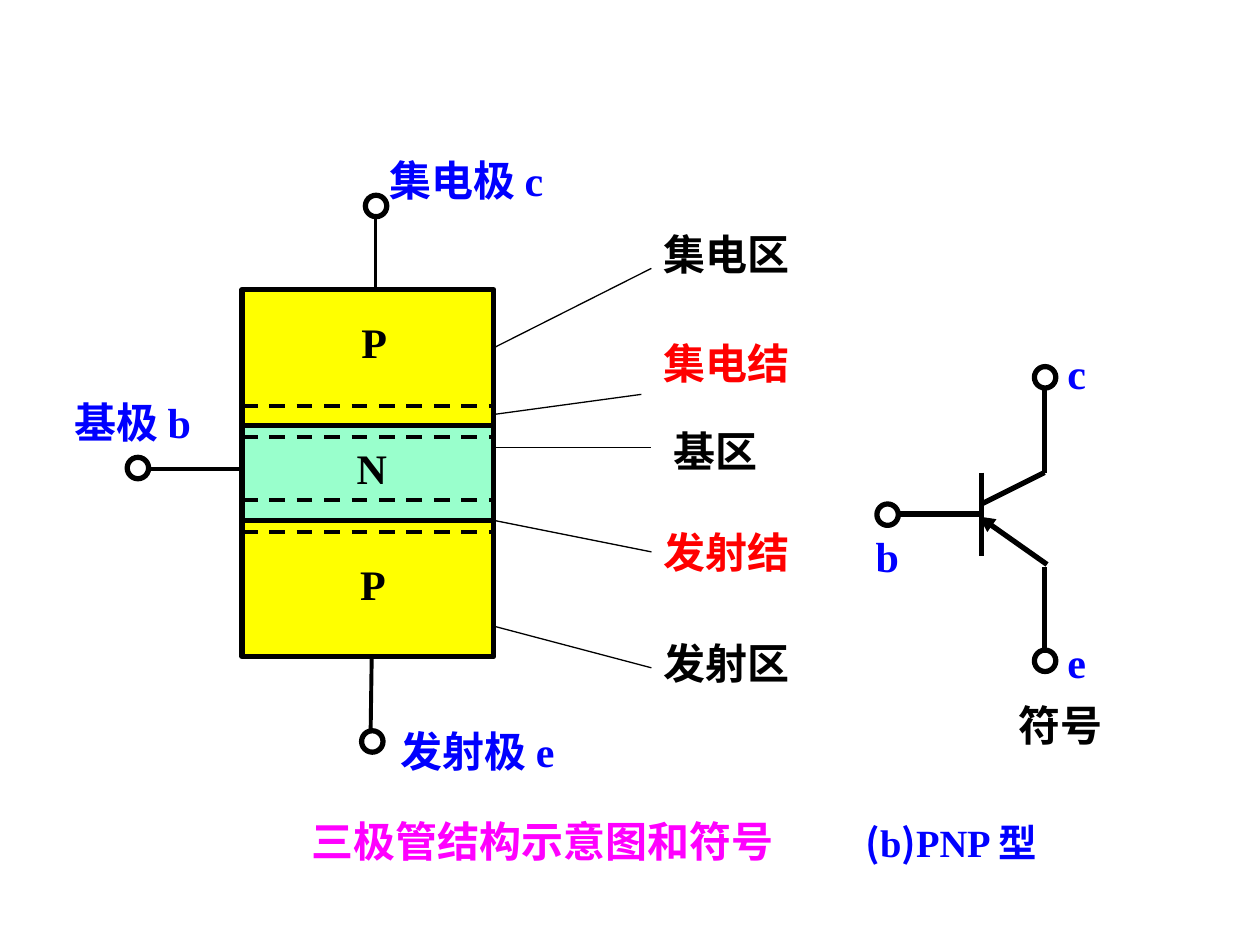
import pptx
import pptx.util
import pptx.dml.color
import pptx.enum.dml
import pptx.enum.shapes
import pptx.enum.text
from lxml import etree
from pptx.oxml.ns import qn
from pptx.util import Inches, Pt

RGB = pptx.dml.color.RGBColor
BLACK = RGB(0, 0, 0)
WHITE = RGB(255, 255, 255)
RED = RGB(255, 0, 0)
BLUE = RGB(0, 0, 255)
PINK = RGB(255, 0, 255)
YELLOW = RGB(255, 255, 0)
MINT = RGB(0x99, 0xFF, 0xCC)

LATIN, HAN = "Times New Roman", "Noto Sans CJK SC"
ALIGN = pptx.enum.text.PP_ALIGN
ANCHOR = pptx.enum.text.MSO_ANCHOR
FORM = pptx.enum.shapes.MSO_SHAPE
DASH = pptx.enum.dml.MSO_LINE.DASH

# Content: region labels (text, left, top, width, colour)
LABELS = [
    ("集电区", 5.17, 1.76, 2.41, BLACK),
    ("集电结", 5.17, 2.63, 2.25, RED),
    ("基区", 5.25, 3.33, 1.66, BLACK),
    ("发射结", 5.17, 4.13, 1.75, RED),
    ("发射区", 5.17, 5.01, 2.16, BLACK),
    ("集电极 c", 2.99, 1.18, 2.09, BLUE),
    ("发射极 e", 3.08, 5.71, 1.75, BLUE),
    ("基极 b", 0.49, 3.10, 1.68, BLUE),
]
# Centred marks, same fields
MARKS = [
    ("c", 8.21, 2.71, 0.67, BLUE),
    ("b", 6.85, 4.16, 0.38, BLUE),
    ("e", 8.37, 5.00, 0.35, BLUE),
    ("符号", 7.63, 5.50, 1.58, BLACK),
    ("P", 2.77, 2.46, 0.40, BLACK),
    ("N", 2.73, 3.46, 0.44, BLACK),
    ("P", 2.76, 4.38, 0.33, BLACK),
]
# Lines (x1, y1, x2, y2), by role
LEADERS = [
    (3.84, 2.80, 5.17, 2.13),
    (3.84, 3.30, 5.09, 3.13),
    (3.84, 3.55, 5.17, 3.55),
    (3.92, 4.13, 5.17, 4.38),
    (3.92, 4.97, 5.17, 5.30),
]
SYMBOL = [
    (7.79, 3.75, 7.79, 4.41),
    (7.79, 4.00, 8.29, 3.75),
    (8.29, 3.75, 8.29, 3.00),
    (8.29, 4.50, 8.29, 5.17),
    (7.79, 4.08, 7.12, 4.08),
]
EMITTER = (8.31, 4.48, 7.77, 4.10)
WIRES = [
    (2.95, 5.22, 2.94, 5.92),
    (1.92, 3.72, 1.17, 3.72),
    (2.98, 2.30, 2.98, 1.63),
]
# Terminal rings (left, top)
RINGS = [(6.96, 4.00), (8.21, 2.91), (8.21, 5.16),
         (2.90, 1.55), (1.01, 3.63), (2.87, 5.80)]
RING = 0.17
# Layers (top, height, fill), the base last so its edges lie on top
LEFT, WIDE = 1.92, 2
LAYERS = [(2.30, 1.08, YELLOW), (4.13, 1.08, YELLOW), (3.38, 0.75, MINT)]
EDGES = [3.22, 3.47, 3.97, 4.22]
# Caption runs (text, size, font, colour)
CAPTION = [
    ("三极管结构示意图和符号\t", 24, LATIN, PINK),
    ("(", 22, HAN, BLUE),
    ("b", 22, LATIN, BLUE),
    (")", 22, HAN, BLUE),
    ("PNP 型", 22, LATIN, BLUE),
]


def put(obj, **vals):
    for key, val in vals.items():
        setattr(obj, key, val)


def style(run, size, face, ink):
    put(run.font, size=Pt(size), name=face, bold=True)
    run.font.color.rgb = ink
    etree.SubElement(run.font._element, qn("a:ea"), typeface=HAN)


def label(slide, text, x, y, w, ink, align=ALIGN.LEFT):
    box = slide.shapes.add_textbox(Inches(x), Inches(y), Inches(w), Inches(0.5))
    put(box.text_frame, word_wrap=align == ALIGN.LEFT,
        vertical_anchor=ANCHOR.MIDDLE)
    para = box.text_frame.paragraphs[0]
    para.alignment = align
    run = para.add_run()
    run.text = text
    style(run, 24, LATIN, ink)


def stroke(slide, ends, width, dash=None, arrow=False):
    line = slide.shapes.add_connector(
        pptx.enum.shapes.MSO_CONNECTOR.STRAIGHT, *map(Inches, ends))
    line.line.color.rgb = BLACK
    put(line.line, width=Pt(width), dash_style=dash)
    if arrow:
        etree.SubElement(line.line._get_or_add_ln(), qn("a:tailEnd"),
                         type="triangle")
    etree.SubElement(line._element.spPr, qn("a:effectLst"))


def solid(slide, form, x, y, w, h, fill):
    shape = slide.shapes.add_shape(form, *map(Inches, (x, y, w, h)))
    shape.shadow.inherit = False
    shape.fill.solid()
    shape.fill.fore_color.rgb = fill
    shape.line.color.rgb = BLACK
    shape.line.width = Pt(3)


def caption(slide):
    title = slide.shapes.title
    put(title, left=Inches(2.37), top=Inches(6.42),
        width=Inches(6.13), height=Inches(0.9))
    put(title.text_frame, word_wrap=True, vertical_anchor=ANCHOR.TOP,
        auto_size=pptx.enum.text.MSO_AUTO_SIZE.NONE)
    para = title.text_frame.paragraphs[0]
    put(para, alignment=ALIGN.LEFT, space_before=Pt(0))
    tabs = etree.SubElement(para._p.get_or_add_pPr(), qn("a:tabLst"))
    etree.SubElement(tabs, qn("a:tab"), pos=str(Inches(4.4)), algn="l")
    for text, *look in CAPTION:
        run = para.add_run()
        run.text = text
        style(run, *look)


def main():
    deck = pptx.Presentation()
    put(deck, slide_width=Inches(10), slide_height=Inches(7.5))
    slide = deck.slides.add_slide(deck.slide_layouts[5])
    caption(slide)

    # Lines under the shapes
    for group, width in ((LEADERS, 0.75), (SYMBOL, 3), (WIRES, 2.25)):
        for ends in group:
            stroke(slide, ends, width)
    stroke(slide, EMITTER, 3, arrow=True)

    # Terminals and layers
    for x, y in RINGS:
        solid(slide, FORM.OVAL, x, y, RING, RING, WHITE)
    for y, h, fill in LAYERS:
        solid(slide, FORM.RECTANGLE, LEFT, y, WIDE, h, fill)
    for y in EDGES:
        stroke(slide, (LEFT, y, LEFT + WIDE, y), 2.25, DASH)

    # Text
    for item in LABELS:
        label(slide, *item)
    for item in MARKS:
        label(slide, *item, align=ALIGN.CENTER)

    deck.save("out.pptx")


if __name__ == "__main__":
    main()
